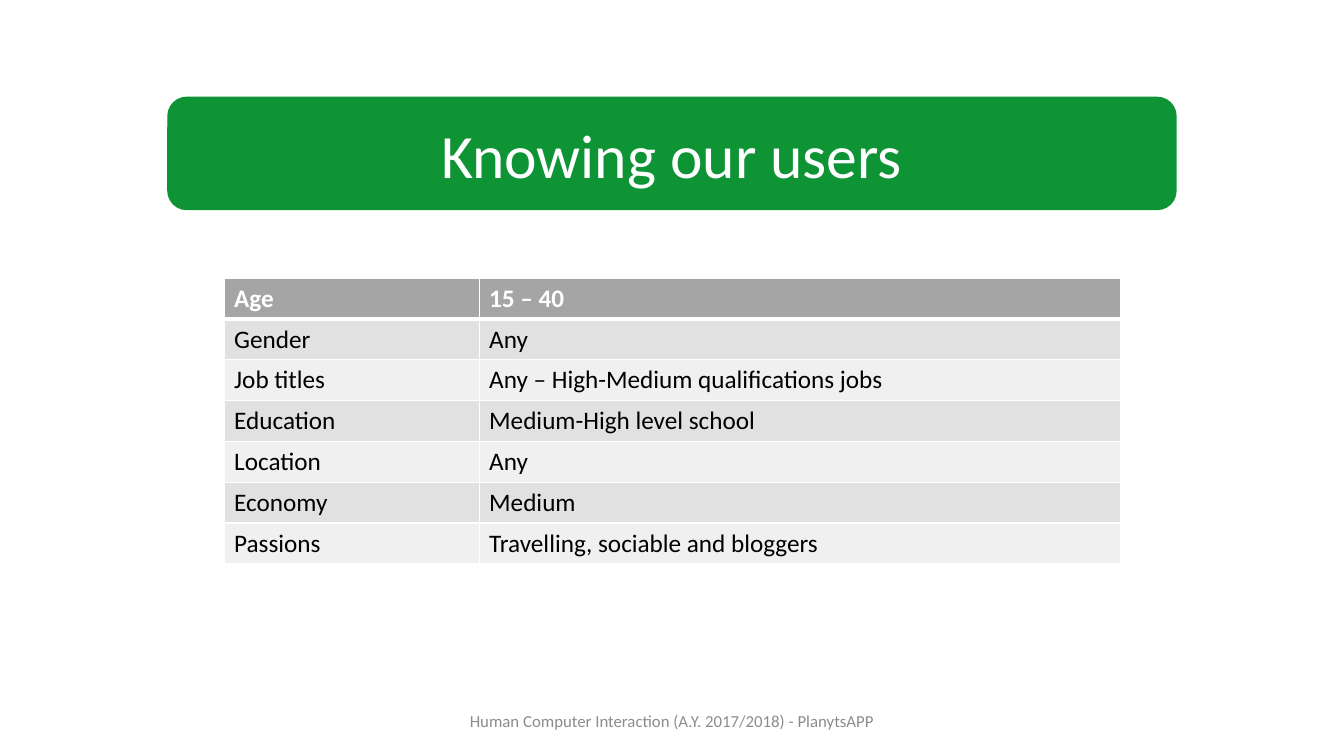
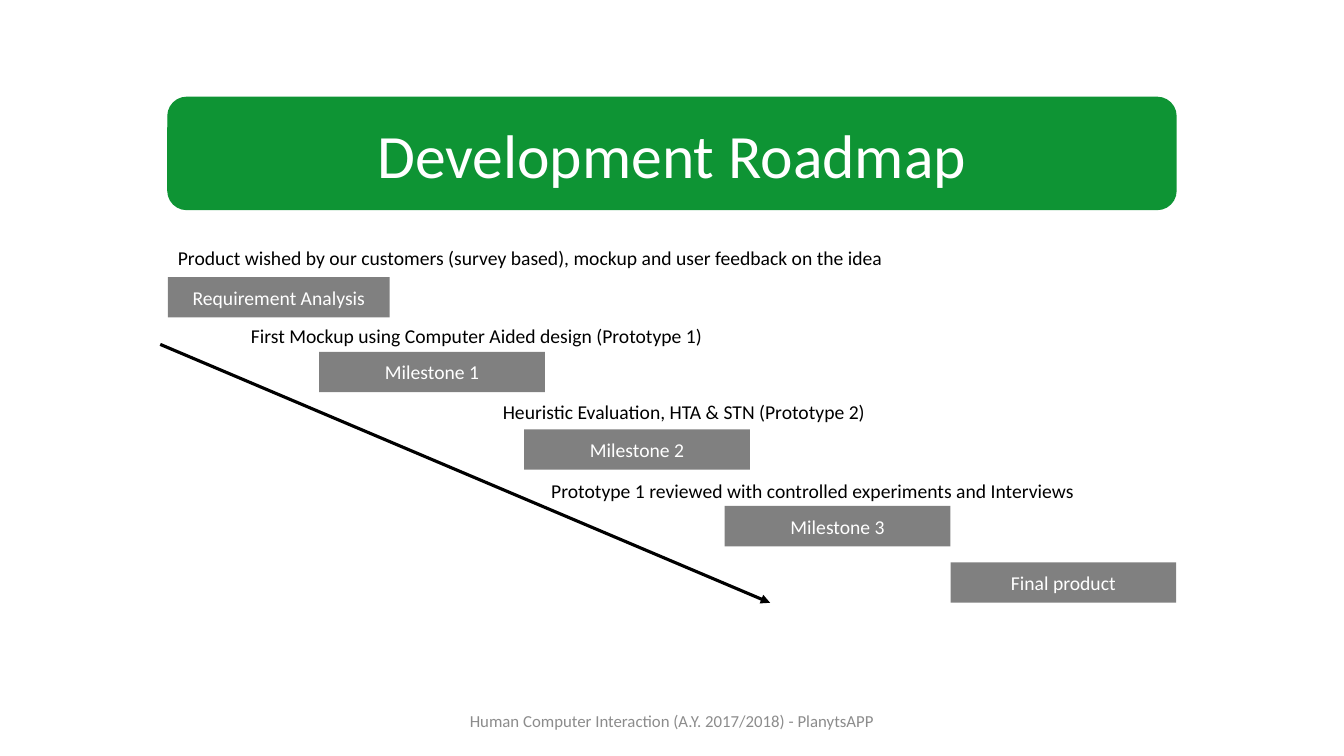
import pptx
import pptx.dml.color
import pptx.enum.dml
import pptx.enum.shapes
import pptx.enum.text
import pptx.oxml
import pptx.oxml.ns
import pptx.util

SHAPES = pptx.enum.shapes.MSO_SHAPE
ALIGN = pptx.enum.text.PP_ALIGN
ANCHOR = pptx.enum.text.MSO_ANCHOR


def colour(value):
    return pptx.dml.color.RGBColor.from_string(value)


def write(frame, text, size=14, color="000000", bold=False,
          align=ALIGN.LEFT, anchor=ANCHOR.TOP, font="Calibri"):
    frame.word_wrap = True
    frame.vertical_anchor = anchor
    paragraph = frame.paragraphs[0]
    paragraph.alignment = align
    run = paragraph.add_run()
    run.text = text
    run.font.name = font
    run.font.size = pptx.util.Pt(size)
    run.font.bold = bold
    run.font.color.rgb = colour(color)


def xml_element(tag, content=""):
    return pptx.oxml.parse_xml(
        f'<a:{tag} {pptx.oxml.ns.nsdecls("a")}>{content}</a:{tag.split()[0]}>')


class Deck:
    COLUMNS, ROWS = 80, 45
    MARGIN = 10
    GREEN, GREY, WHITE, BLACK = "0E9434", "808080", "FFFFFF", "000000"
    HEADER_FILL, BAND_FILLS = "A5A5A5", ("F0F0F0", "E1E1E1")
    FOOTER_COLOR = "8C8C8C"
    FOOTER = "Human Computer Interaction (A.Y. 2017/2018) - PlanytsAPP"
    BAR_HEIGHT, LABEL_HEIGHT, TABLE_ROW = 2.4, 2.04, 2.43

    def __init__(self):
        self.presentation = pptx.Presentation()
        self.presentation.slide_width = pptx.util.Inches(13.33)
        self.presentation.slide_height = pptx.util.Inches(7.5)
        self.slide = None

    def across(self, columns):
        return round(self.presentation.slide_width * columns / self.COLUMNS)

    def down(self, rows):
        return round(self.presentation.slide_height * rows / self.ROWS)

    def box(self, left, top, width, height):
        return self.across(left), self.down(top), self.across(width), self.down(height)

    def new_slide(self, title):
        self.slide = self.presentation.slides.add_slide(
            self.presentation.slide_layouts[6])
        self.text(self.FOOTER, 26.5, 41.7, 27, 2.4, size=12,
                  color=self.FOOTER_COLOR, align=ALIGN.CENTER, anchor=ANCHOR.MIDDLE)
        self.panel(title, self.MARGIN, 5.8, self.COLUMNS - 2 * self.MARGIN, 6.67,
                   kind=SHAPES.ROUNDED_RECTANGLE, fill=self.GREEN, outline=1, size=44)

    def text(self, text, left, top, width, height, **style):
        shape = self.slide.shapes.add_textbox(*self.box(left, top, width, height))
        write(shape.text_frame, text, **style)
        return shape

    def panel(self, text, left, top, width, height,
              kind=SHAPES.RECTANGLE, fill=GREY, outline=0, size=14):
        shape = self.slide.shapes.add_shape(kind, *self.box(left, top, width, height))
        shape.shadow.inherit = False
        shape.fill.solid()
        shape.fill.fore_color.rgb = colour(fill)
        if outline:
            shape.line.color.rgb = colour(fill)
            shape.line.width = pptx.util.Pt(outline)
        else:
            shape.line.fill.background()
        write(shape.text_frame, text, size=size, color=self.WHITE,
              align=ALIGN.CENTER, anchor=ANCHOR.MIDDLE)

    def label(self, text, left, top, width):
        shape = self.text(text, left, top, width, self.LABEL_HEIGHT)
        shape.text_frame.auto_size = pptx.enum.text.MSO_AUTO_SIZE.SHAPE_TO_FIT_TEXT

    def arrow(self, start, end, width=2.25):
        line = self.slide.shapes.add_connector(
            pptx.enum.shapes.MSO_CONNECTOR.STRAIGHT,
            self.across(start[0]), self.down(start[1]),
            self.across(end[0]), self.down(end[1]))
        line.line.color.rgb = colour(self.BLACK)
        line.line.width = pptx.util.Pt(width)
        line.line._get_or_add_ln().append(xml_element('tailEnd type="triangle"'))
        line._element.spPr.append(xml_element("effectLst"))

    def borders(self, cell, bottom):
        properties = cell._tc.get_or_add_tcPr()
        fill = f'<a:solidFill><a:srgbClr val="{self.WHITE}"/></a:solidFill>'
        for side, width in (("L", 1), ("R", 1), ("T", 1), ("B", bottom)):
            properties.append(
                xml_element(f'ln{side} w="{pptx.util.Pt(width)}"', fill))

    def table(self, rows, left, top, widths):
        table = self.slide.shapes.add_table(
            len(rows), len(widths),
            *self.box(left, top, sum(widths), self.TABLE_ROW * len(rows))).table
        for column, width in zip(table.columns, widths):
            column.width = self.across(width)
        for row_index, row in enumerate(rows):
            header = row_index == 0
            fill = self.HEADER_FILL if header else self.BAND_FILLS[row_index % 2]
            for column_index, text in enumerate(row):
                cell = table.cell(row_index, column_index)
                self.borders(cell, 3 if header else 1)
                cell.fill.solid()
                cell.fill.fore_color.rgb = colour(fill)
                write(cell.text_frame, text, size=18, bold=header,
                      color=self.WHITE if header else self.BLACK)


USERS = (
    ("Age", "15 – 40"),
    ("Gender", "Any"),
    ("Job titles", "Any – High-Medium qualifications jobs"),
    ("Education", "Medium-High level school"),
    ("Location", "Any"),
    ("Economy", "Medium"),
    ("Passions", "Travelling, sociable and bloggers"),
)

STAGES = (
    ("Requirement Analysis", 10, 16.5, 13.2),
    ("Milestone 1", 19, 20.94, 13.44),
    ("Milestone 2", 31.2, 25.56, 13.44),
    ("Milestone 3", 43.14, 30.12, 13.44),
    ("Final product", 56.58, 33.48, 13.44),
)

OUTCOMES = (
    ("Product wished by our customers (survey based), mockup and user feedback on the idea",
     10, 14.34, 48.06),
    ("First Mockup using Computer Aided design (Prototype 1)", 14.34, 18.96, 30.3),
    ("Heuristic Evaluation, HTA & STN (Prototype 2)", 29.34, 23.5, 23.4),
    ("Prototype 1 reviewed with controlled experiments and Interviews",
     32.22, 28.2, 35.28),
)


def main():
    deck = Deck()

    deck.new_slide("Knowing our users")
    deck.table(USERS, 13.34, 16.56, (15.18, 38.16))

    deck.new_slide("Development Roadmap")
    for name, left, top, width in STAGES:
        deck.panel(name, left, top, width, deck.BAR_HEIGHT)
    for outcome in OUTCOMES:
        deck.label(*outcome)
    deck.arrow((9.54, 20.5), (45.84, 35.88))

    deck.presentation.save("out.pptx")


if __name__ == "__main__":
    main()
